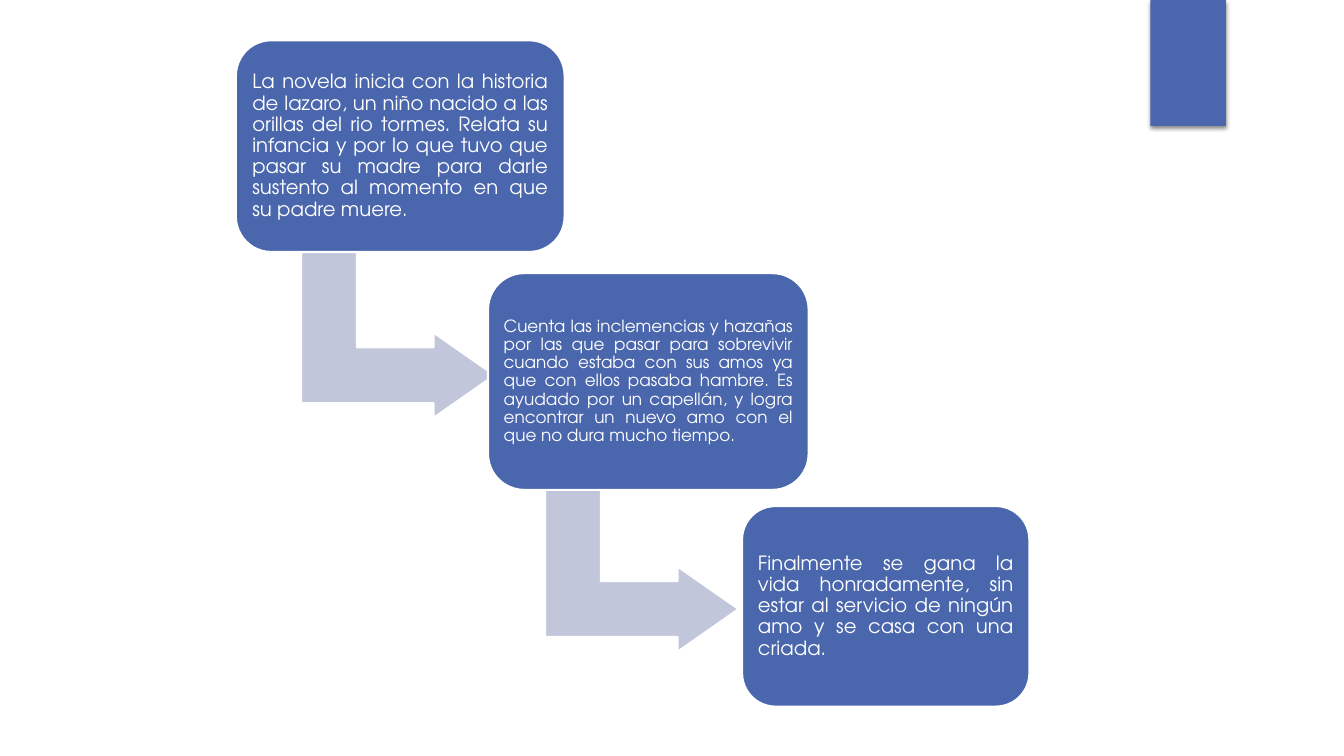
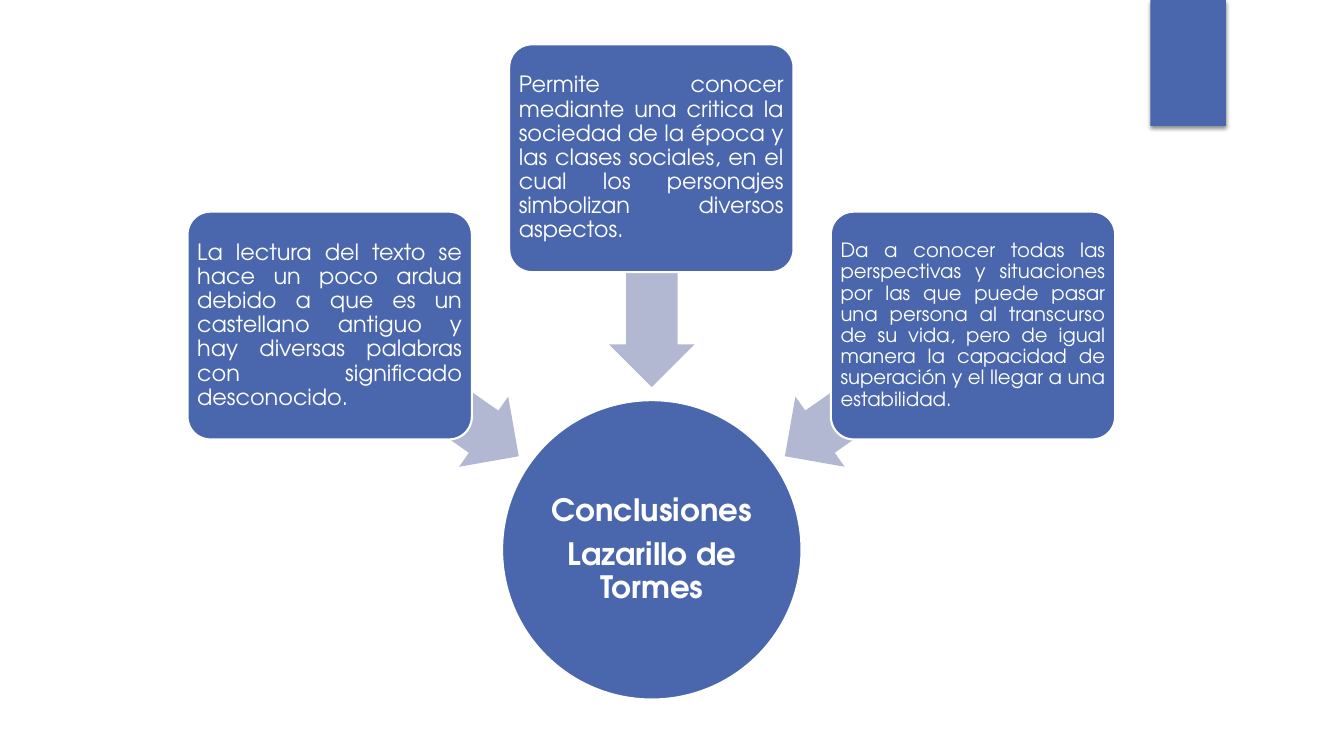
from dataclasses import dataclass

from lxml import etree
from pptx import Presentation, util as u
from pptx.dml.color import RGBColor
from pptx.enum import shapes, text
from pptx.oxml import ns

FONT = "TeX Gyre Adventor"
BLUE, WHITE = "4A66AC", "FFFFFF"
STEP_ARROW, CAUSE_ARROW = "C1C6DB", "B2B8D2"
KIND = shapes.MSO_SHAPE
ALIGN = text.PP_ALIGN
Rect = tuple[float, float, float, float]


@dataclass
class Step:
    rect: Rect
    words: str
    size: int
    inset: float
    arrow: tuple[float, float] | None = None


@dataclass
class Reason:
    side: int
    words: str
    size: int


STEPS = [
    Step((2.34, 0.4, 3.26, 2.1),
         "La novela inicia con la historia de lazaro, un niño nacido a las orillas del rio "
         "tormes. Relata su infancia y por lo que tuvo que pasar su madre para darle sustento "
         "al momento en que su padre muere.", 14, 0.06, (3.1, 2.34)),
    Step((4.84, 2.71, 3.18, 2.15),
         "Cuenta las inclemencias y hazañas por las que pasar para sobrevivir cuando estaba "
         "con sus amos ya que con ellos pasaba hambre. Es ayudado por un capellán, y logra "
         "encontrar un nuevo amo con el que no dura mucho tiempo.", 12, 0.05, (5.52, 4.66)),
    Step((7.36, 5.02, 2.85, 1.99),
         "Finalmente se gana la vida honradamente, sin estar al servicio de ningún amo y se "
         "casa con una criada.", 14, 0.06),
]

REASONS = [
    Reason(-1, "La lectura del texto se hace un poco ardua debido a que es un castellano antiguo "
               "y hay diversas palabras con significado desconocido.", 16),
    Reason(0, "Permite conocer mediante una critica la sociedad de la época y las clases "
              "sociales, en el cual los personajes simbolizan diversos aspectos.", 16),
    Reason(1, "Da a conocer todas las perspectivas y situaciones por las que puede pasar una "
              "persona al transcurso de su vida, pero de igual manera la capacidad de superación "
              "y el llegar a una estabilidad.", 14),
]


def color(value: str) -> RGBColor:
    return RGBColor.from_string(value)


def draw(page, kind, rect: Rect, fill: str, *, adjust=(), line: str | None = WHITE,
         turn: float = 0):
    shape = page.shapes.add_shape(kind, *map(u.Inches, rect))
    shape.shadow.inherit = False
    shape.rotation = turn
    for index, value in enumerate(adjust):
        shape.adjustments[index] = value
    shape.fill.solid()
    shape.fill.fore_color.rgb = color(fill)
    if line:
        shape.line.color.rgb = color(line)
        shape.line.width = u.Pt(1.5)
    else:
        shape.line.fill.background()
    return shape


def write(box, *paragraphs: str, size: int, inset: float, align=ALIGN.JUSTIFY,
          bold: bool = False) -> None:
    frame = box.text_frame
    frame.word_wrap = True
    frame.vertical_anchor = text.MSO_ANCHOR.MIDDLE
    frame.margin_left = frame.margin_right = u.Inches(inset)
    frame.margin_top = frame.margin_bottom = u.Inches(inset)
    for index, words in enumerate(paragraphs):
        para = frame.add_paragraph() if index else frame.paragraphs[0]
        para.alignment = align
        para.line_spacing = 0.9
        para.space_after = u.Pt(0.35 * size)
        span = para.add_run()
        span.text = words
        span.font.name = FONT
        span.font.size = u.Pt(size)
        span.font.bold = bold
        span.font.color.rgb = color(WHITE)


def add_page(deck):
    """Add a blank page with the shaded tab at its top right."""
    page = deck.slides.add_slide(deck.slide_layouts[6])
    tab = draw(page, KIND.RECTANGLE, (11.41, 0, 0.75, 1.25), BLUE, line=None)
    effects = tab._element.spPr.find(ns.qn("a:effectLst"))
    shadow = etree.SubElement(effects, ns.qn("a:outerShdw"), blurRad=str(u.Pt(3)),
                              dist=str(u.Pt(2)), dir="5400000", algn="t", rotWithShape="0")
    tint = etree.SubElement(shadow, ns.qn("a:srgbClr"), val="000000")
    etree.SubElement(tint, ns.qn("a:alpha"), val="45000")
    return page


def add_story(deck) -> None:
    page = add_page(deck)
    for step in STEPS:
        if step.arrow:
            draw(page, KIND.BENT_UP_ARROW, (*step.arrow, 1.69, 1.92), STEP_ARROW,
                 adjust=(0.328, 0.25, 0.358), turn=90)
        box = draw(page, KIND.ROUNDED_RECTANGLE, step.rect, BLUE, adjust=(0.167,))
        write(box, step.words, size=step.size, inset=step.inset)


def add_conclusions(deck) -> None:
    page = add_page(deck)
    hub = draw(page, KIND.OVAL, (4.98, 3.97, 2.97, 2.97), BLUE)
    write(hub, "Conclusiones", "Lazarillo de Tormes", size=22, inset=0.02,
          align=ALIGN.CENTER, bold=True)
    for reason in REASONS:
        side = reason.side
        draw(page, KIND.LEFT_ARROW, (5.33 + 2.25 * side, 3.45 if side else 2.28, 2.27, 0.85),
             CAUSE_ARROW, adjust=(0.6, 0.5), line=None, turn=270 + 55 * side)
        box = draw(page, KIND.ROUNDED_RECTANGLE,
                   (5.05 + 3.19 * side, 2.1 if side else 0.44, 2.82, 2.26), BLUE, adjust=(0.1,))
        write(box, reason.words, size=reason.size, inset=0.03)


def main() -> None:
    deck = Presentation()
    deck.slide_width, deck.slide_height = u.Inches(13.33), u.Inches(7.5)
    add_story(deck)
    add_conclusions(deck)
    deck.save("out.pptx")


if __name__ == "__main__":
    main()
